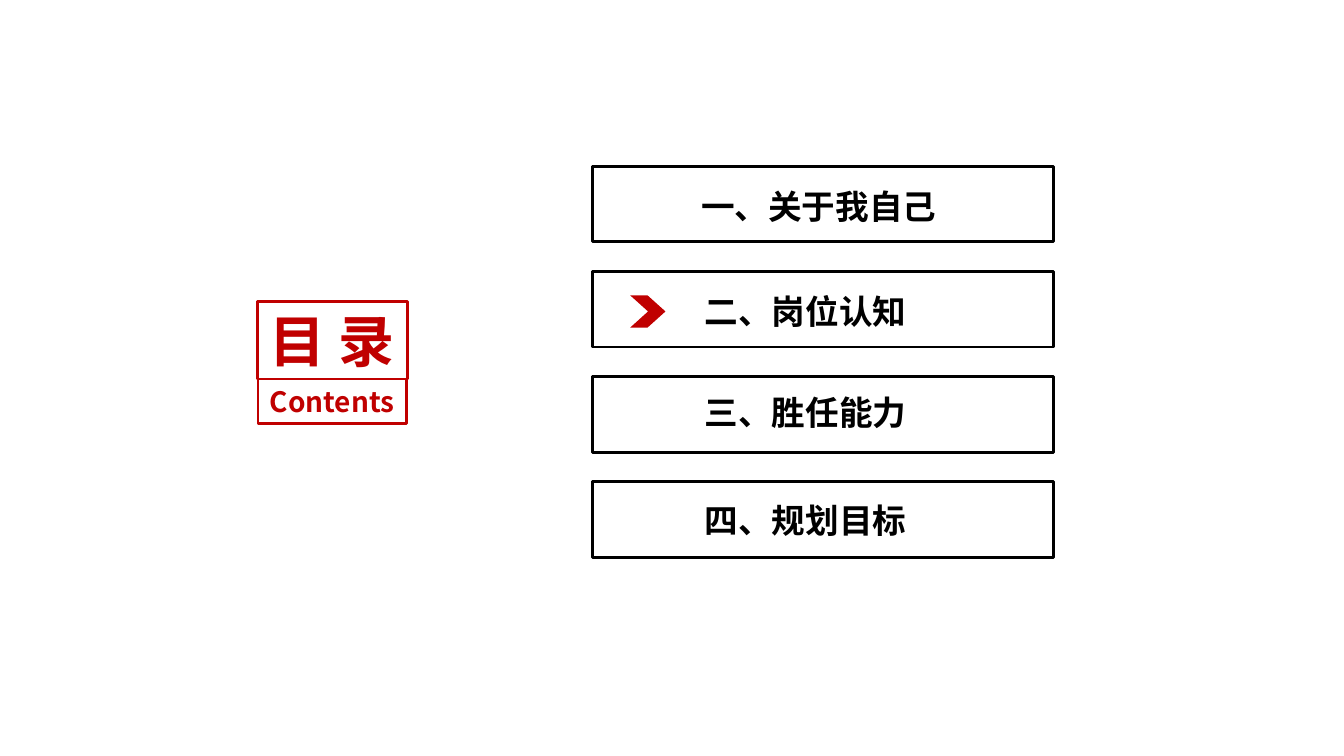
from lxml.etree import SubElement
from pptx import Presentation
from pptx.dml.color import RGBColor
from pptx.enum.shapes import MSO_SHAPE
from pptx.enum.text import MSO_ANCHOR, MSO_AUTO_SIZE, PP_ALIGN
from pptx.oxml.ns import qn
from pptx.util import Inches, Pt

RED = RGBColor(0xC0, 0x00, 0x00)
BLACK = RGBColor(0x00, 0x00, 0x00)
WHITE = RGBColor(0xFF, 0xFF, 0xFF)
FONT = "Noto Sans CJK SC"


def write_text(shape, text, *, size, color, margins, anchor):
    """Put one bold, centred, unwrapped line of text into a shape."""
    frame = shape.text_frame
    frame.word_wrap = False
    frame.auto_size = MSO_AUTO_SIZE.SHAPE_TO_FIT_TEXT
    frame.vertical_anchor = anchor
    frame.margin_left = frame.margin_right = Inches(margins[0])
    frame.margin_top = frame.margin_bottom = Inches(margins[1])
    paragraph = frame.paragraphs[0]
    paragraph.alignment = PP_ALIGN.CENTER
    run = paragraph.add_run()
    run.text = text
    run.font.name = FONT
    run.font.size = Pt(size)
    run.font.bold = True
    run.font.color.rgb = color
    # Chinese characters take the East Asian font
    SubElement(run.font._element, qn("a:ea"), typeface=FONT)


class ContentsSlide:
    def __init__(self, slide):
        self.slide = slide

    def add_preset(self, preset, bounds, fill, line=None):
        shape = self.slide.shapes.add_shape(preset, *map(Inches, bounds))
        shape.shadow.inherit = False
        shape.fill.solid()
        shape.fill.fore_color.rgb = fill
        if line is None:
            shape.line.fill.background()
        else:
            shape.line.color.rgb = line
            shape.line.width = Pt(2)
        return shape

    def add_box(self, bounds, line):
        return self.add_preset(MSO_SHAPE.RECTANGLE, bounds, WHITE, line)

    def add_title_box(self, text, bounds, size):
        write_text(self.add_box(bounds, RED), text, size=size, color=RED,
                   margins=(0.1, 0.05), anchor=MSO_ANCHOR.MIDDLE)

    def add_label(self, text, bounds):
        label = self.slide.shapes.add_textbox(*map(Inches, bounds))
        write_text(label, text, size=24, color=BLACK,
                   margins=(0.06, 0.03), anchor=MSO_ANCHOR.TOP)

    def add_marker(self, bounds):
        marker = self.add_preset(MSO_SHAPE.CHEVRON, bounds, RED)
        marker.adjustments[0] = 0.555


def main():
    presentation = Presentation()
    presentation.slide_width = Inches(13.33)
    presentation.slide_height = Inches(7.5)
    contents = ContentsSlide(
        presentation.slides.add_slide(presentation.slide_layouts[6]))

    # Title block
    contents.add_title_box("目 录", (2.55, 2.99, 1.49, 0.77), 40)
    contents.add_title_box("Contents", (2.56, 3.76, 1.47, 0.44), 20)

    # Chapter boxes: text, left, top and width of each label
    chapters = [
        ("一、关于我自己", 6.88, 1.81, 2.48),
        ("二、岗位认知", 6.92, 2.86, 2.14),
        ("三、胜任能力", 6.92, 3.86, 2.14),
        ("四、规划目标", 6.92, 4.93, 2.14),
    ]
    for index, (text, left, top, width) in enumerate(chapters):
        contents.add_box((5.88, 1.65 + 1.043 * index, 4.57, 0.75), BLACK)
        contents.add_label(text, (left, top, width, 0.46))

    # Marker of the current chapter
    contents.add_marker((6.25, 2.93, 0.35, 0.32))

    presentation.save("out.pptx")


if __name__ == "__main__":
    main()
